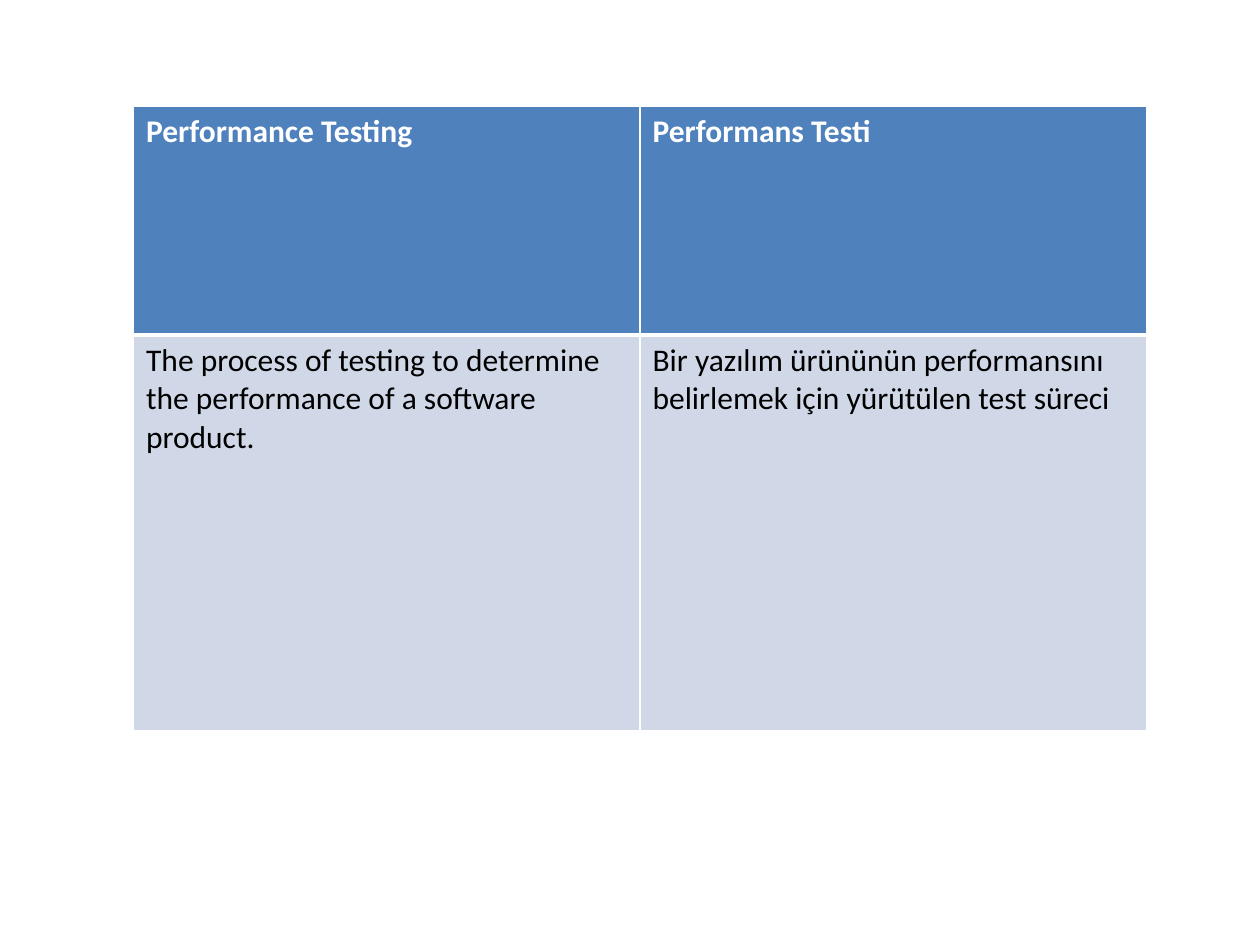
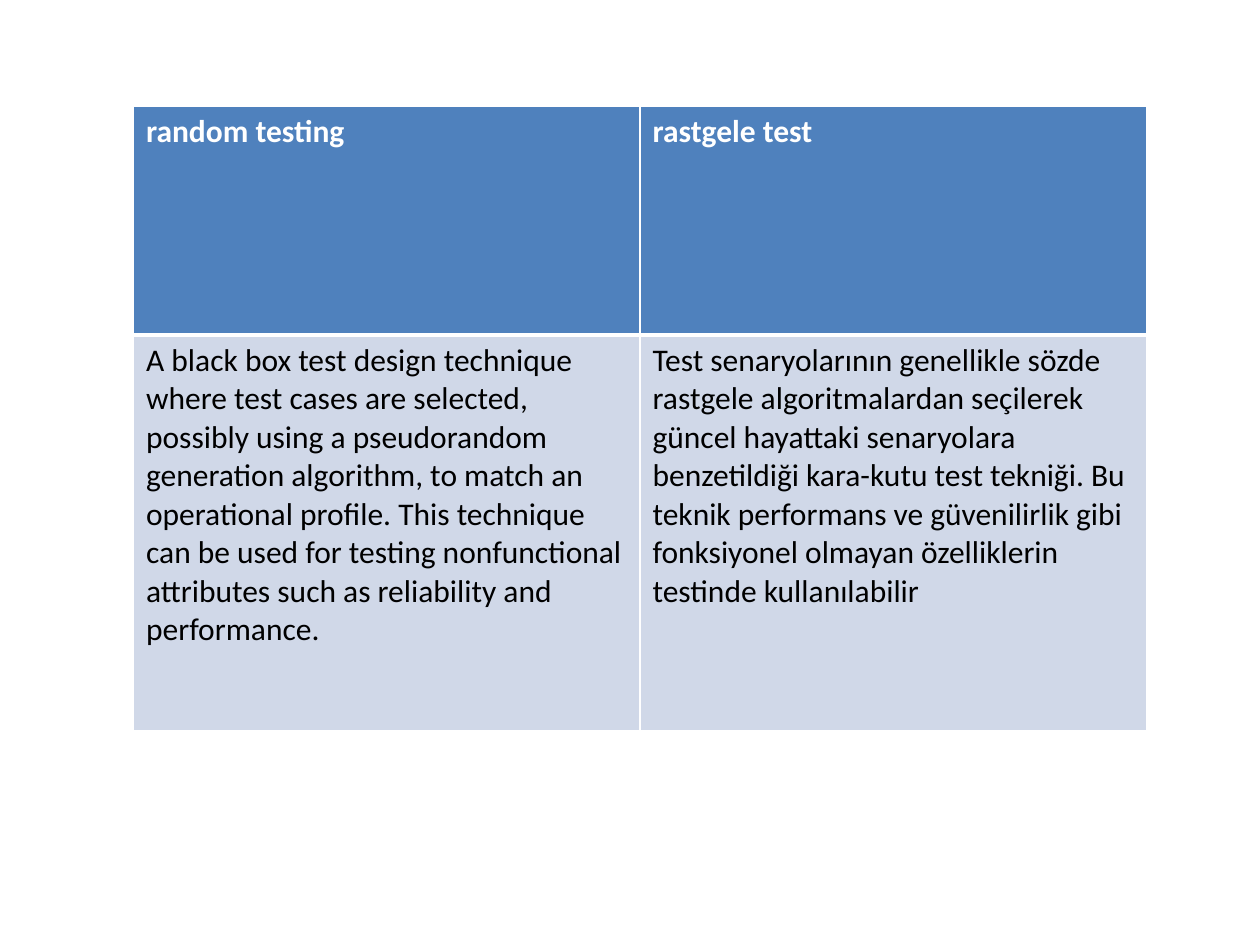
"""Build two bilingual glossary slides, each with a term and its definition in a table."""
from dataclasses import dataclass

from lxml import etree
from pptx import Presentation
from pptx import util as u
from pptx.dml.color import RGBColor
from pptx.oxml.ns import qn


@dataclass(frozen=True)
class Theme:
    font: str = "Calibri"
    size: int = 18
    header: str = "4F81BD"
    body: str = "D0D8E8"
    light: str = "FFFFFF"
    dark: str = "000000"
    thin: int = 1
    thick: int = 3


def add_border(cell, side, width):
    ln = etree.SubElement(cell._tc.get_or_add_tcPr(), qn(f"a:ln{side}"), w=str(u.Pt(width)))
    fill = etree.SubElement(ln, qn("a:solidFill"))
    etree.SubElement(fill, qn("a:srgbClr"), val=theme.light)


theme = Theme()
col_width = 4.02
row_heights = (1.82, 3.14)
row_styles = (
    (theme.header, theme.light, True, "B"),
    (theme.body, theme.dark, False, "T"),
)
glossary = (
    (
        ("Performance Testing", "Performans Testi"),
        (
            "The process of testing to determine the performance of a software product.",
            "Bir yazılım ürününün performansını belirlemek için yürütülen test süreci",
        ),
    ),
    (
        ("random testing", "rastgele test"),
        (
            "A black box test design technique where test cases are selected, possibly "
            "using a pseudorandom generation algorithm, to match an operational profile. "
            "This technique can be used for testing nonfunctional attributes such as "
            "reliability and performance.",
            "Test senaryolarının genellikle sözde rastgele algoritmalardan seçilerek "
            "güncel hayattaki senaryolara benzetildiği kara-kutu test tekniği. Bu teknik "
            "performans ve güvenilirlik gibi fonksiyonel olmayan özelliklerin testinde "
            "kullanılabilir",
        ),
    ),
)

prs = Presentation()
prs.slide_width, prs.slide_height = u.Inches(10), u.Inches(7.5)

for entry in glossary:
    s = prs.slides.add_slide(prs.slide_layouts[6])
    table = s.shapes.add_table(
        2, 2, u.Inches(1.06), u.Inches(0.84),
        u.Inches(2 * col_width), u.Inches(sum(row_heights)),
    ).table
    for col in table.columns:
        col.width = u.Inches(col_width)
    for row, height, texts, style in zip(table.rows, row_heights, entry, row_styles):
        row.height = u.Inches(height)
        fill, color, bold, thick_side = style
        for cell, content in zip(row.cells, texts):
            for side in "LRTB":
                add_border(cell, side, theme.thick if side == thick_side else theme.thin)
            cell.fill.solid()
            cell.fill.fore_color.rgb = RGBColor.from_string(fill)
            r = cell.text_frame.paragraphs[0].add_run()
            r.text = content
            r.font.name = theme.font
            r.font.size = u.Pt(theme.size)
            r.font.bold = bold
            r.font.color.rgb = RGBColor.from_string(color)

prs.save("out.pptx")
